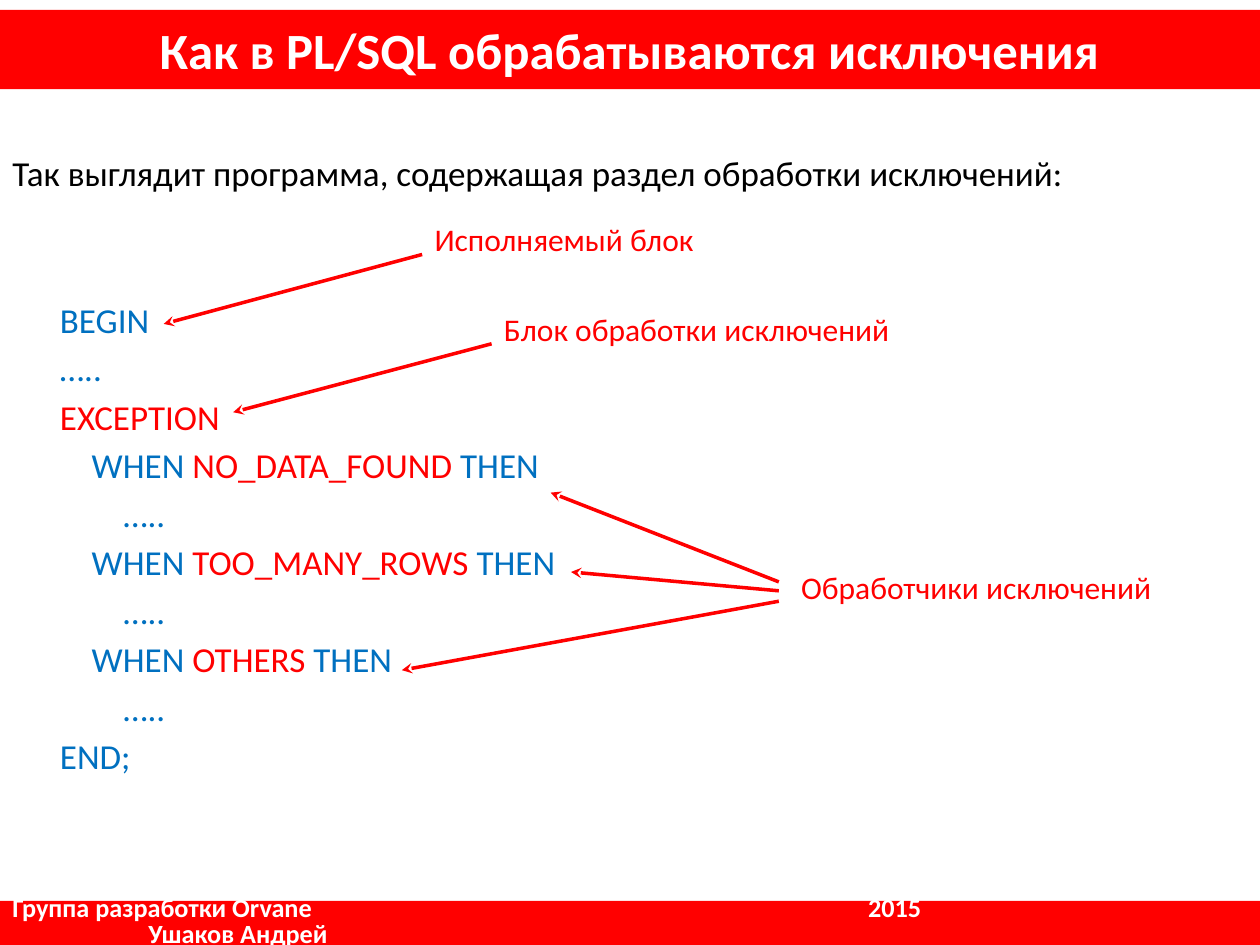
from lxml import etree
from pptx import Presentation
from pptx.dml.color import RGBColor
from pptx.enum.shapes import MSO_CONNECTOR, MSO_SHAPE
from pptx.enum.text import MSO_ANCHOR, MSO_AUTO_SIZE, PP_ALIGN
from pptx.oxml.ns import qn
from pptx.util import Cm, Pt

STRAIGHT = MSO_CONNECTOR.STRAIGHT
RECT = MSO_SHAPE.RECTANGLE
MIDDLE = MSO_ANCHOR.MIDDLE
NO_FIT = MSO_AUTO_SIZE.NONE
CENTER, LEFT = PP_ALIGN.CENTER, PP_ALIGN.LEFT

RED = RGBColor(0xFF, 0x00, 0x00)
BLUE = RGBColor(0x00, 0x70, 0xC0)
BLACK = RGBColor(0x00, 0x00, 0x00)
WHITE = RGBColor(0xFF, 0xFF, 0xFF)
FONT = "Calibri"
SLIDE_W, SLIDE_H = Cm(25.4), Cm(19.05)

CODE = [
    (0, [("BEGIN", BLUE)]),
    (0, [("…..", BLUE)]),
    (0, [("EXCEPTION", RED)]),
]
for name in ("NO_DATA_FOUND", "TOO_MANY_ROWS", "OTHERS"):
    CODE.append((1, [("WHEN ", BLUE), (name, RED), (" THEN", BLUE)]))
    CODE.append((2, [("…..", BLUE)]))
CODE.append((0, [("END;", BLUE)]))

CALLOUTS = [
    ("Блок обработки исключений", (9.91, 6.12, 8.38),
     [((9.91, 6.93), (4.7, 8.31))]),
    ("Обработчики исключений", (15.9, 11.33, 7.67),
     [((15.7, 11.73), (11.1, 9.93)),
      ((15.7, 11.91), (11.51, 11.53)),
      ((15.7, 12.12), (8.1, 13.51))]),
    ("Исполняемый блок", (8.51, 4.32, 5.79),
     [((8.51, 5.13), (3.3, 6.53))]),
]


def add_run(p, text, size, color, bold=False):
    """Append a formatted run to a paragraph."""
    r = p.add_run()
    r.text = text
    r.font.name = FONT
    r.font.size = Pt(size)
    r.font.bold = bold
    r.font.color.rgb = color


def fill_red(sp):
    """Give a shape a plain red fill."""
    sp.fill.solid()
    sp.fill.fore_color.rgb = RED
    sp.line.fill.background()


def set_title(s, text):
    """Place the title placeholder as a red band."""
    sp = s.shapes.title
    sp.left, sp.top, sp.width, sp.height = 0, Cm(0.2), SLIDE_W, Cm(1.6)
    fill_red(sp)
    tf = sp.text_frame
    tf.auto_size = NO_FIT
    tf.vertical_anchor = MIDDLE
    p = tf.paragraphs[0]
    p.alignment = CENTER
    add_run(p, text, 29, WHITE, True)


def add_footer(s, group, year, author):
    """Add the red footer band with a tabbed year."""
    height = Cm(0.89)
    sp = s.shapes.add_shape(RECT, 0, SLIDE_H - height, SLIDE_W, height)
    sp.shadow.inherit = False
    fill_red(sp)
    tf = sp.text_frame
    tf.word_wrap = True
    tf.vertical_anchor = MIDDLE
    first, second = tf.paragraphs[0], tf.add_paragraph()
    for p, text in ((first, f"{group}\t{year}"), (second, author)):
        p.alignment = LEFT
        p.line_spacing = 0.8
        add_run(p, text, 15, WHITE, True)
    tabs = etree.SubElement(first._p.get_or_add_pPr(), qn("a:tabLst"))
    etree.SubElement(tabs, qn("a:tab"), pos=str(Cm(17.25)), algn="l")
    second._p.get_or_add_pPr().set("marL", str(Cm(2.74)))


def add_body(s, intro, lines):
    """Add the introduction and the indented code listing."""
    tf = s.shapes.add_textbox(0, Cm(1.93), SLIDE_W, Cm(16.2)).text_frame
    tf.word_wrap = True
    tf.margin_top = Cm(1.12)
    add_run(tf.paragraphs[0], intro, 20, BLACK)
    for i, (level, runs) in enumerate(lines):
        p = tf.add_paragraph()
        p.space_before = Pt(3.7 if i else 60)
        p._p.get_or_add_pPr().set("marL", str(Cm(0.96 + 0.64 * level)))
        for text, color in runs:
            add_run(p, text, 20, color)


def add_arrow(shapes, start, end):
    """Add a red line with a stealth arrowhead at its end."""
    x1, y1, x2, y2 = map(Cm, start + end)
    cxn = shapes.add_connector(STRAIGHT, x1, y1, x2, y2)
    cxn.line.color.rgb = RED
    cxn.line.width = Pt(2)
    etree.SubElement(cxn.line._get_or_add_ln(), qn("a:tailEnd"), type="stealth")
    etree.SubElement(cxn._element.spPr, qn("a:effectLst"))


def add_callout(s, text, box, arrows):
    """Group a red label with its arrows."""
    shapes = s.shapes.add_group_shape().shapes
    for start, end in arrows:
        add_arrow(shapes, start, end)
    left, top, width = map(Cm, box)
    tf = shapes.add_textbox(left, top, width, Cm(1.02)).text_frame
    tf.word_wrap = True
    add_run(tf.paragraphs[0], text, 18, RED)


def main():
    """Build and save the slide."""
    prs = Presentation()
    prs.slide_width, prs.slide_height = SLIDE_W, SLIDE_H
    s = prs.slides.add_slide(prs.slide_layouts[5])
    set_title(s, "Как в PL/SQL обрабатываются исключения")
    add_footer(s, "Группа разработки Orvane", "2015", "Ушаков Андрей")
    add_body(s, "Так выглядит программа, содержащая раздел обработки исключений:", CODE)
    for text, box, arrows in CALLOUTS:
        add_callout(s, text, box, arrows)
    prs.save("out.pptx")


if __name__ == "__main__":
    main()
